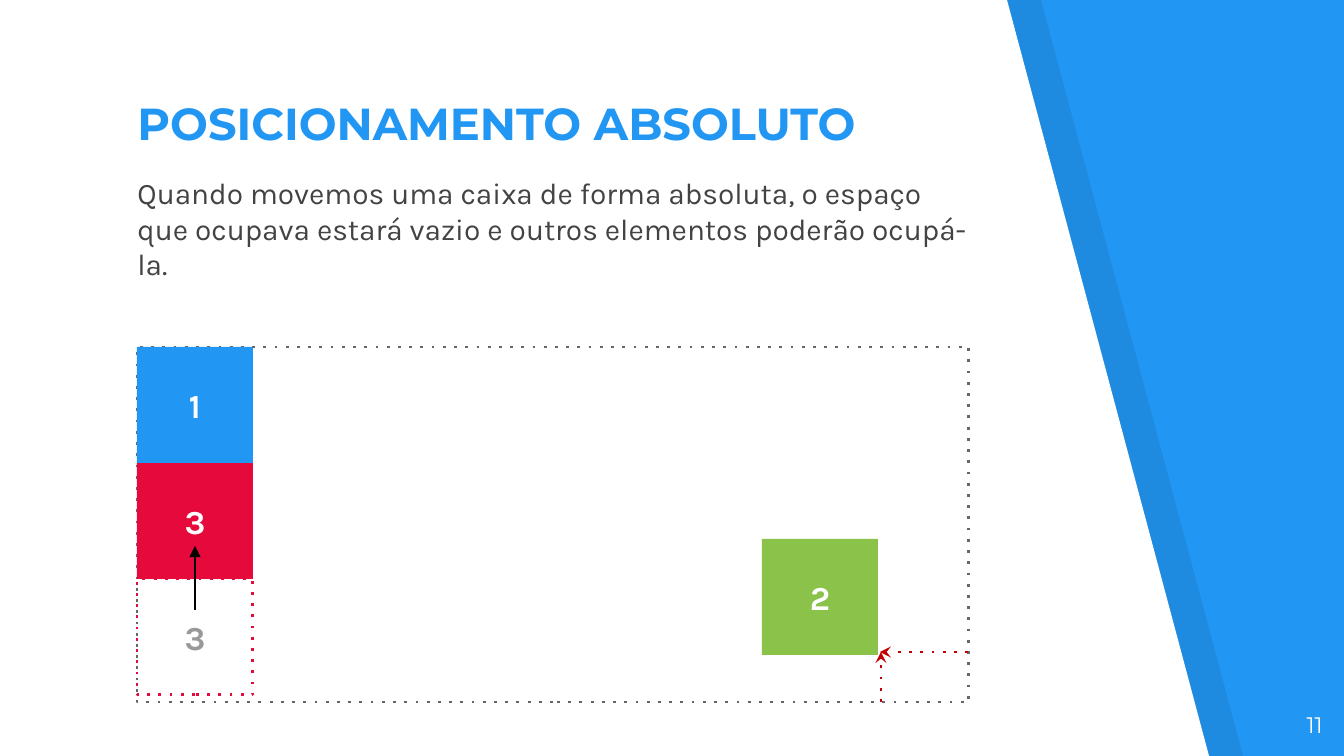
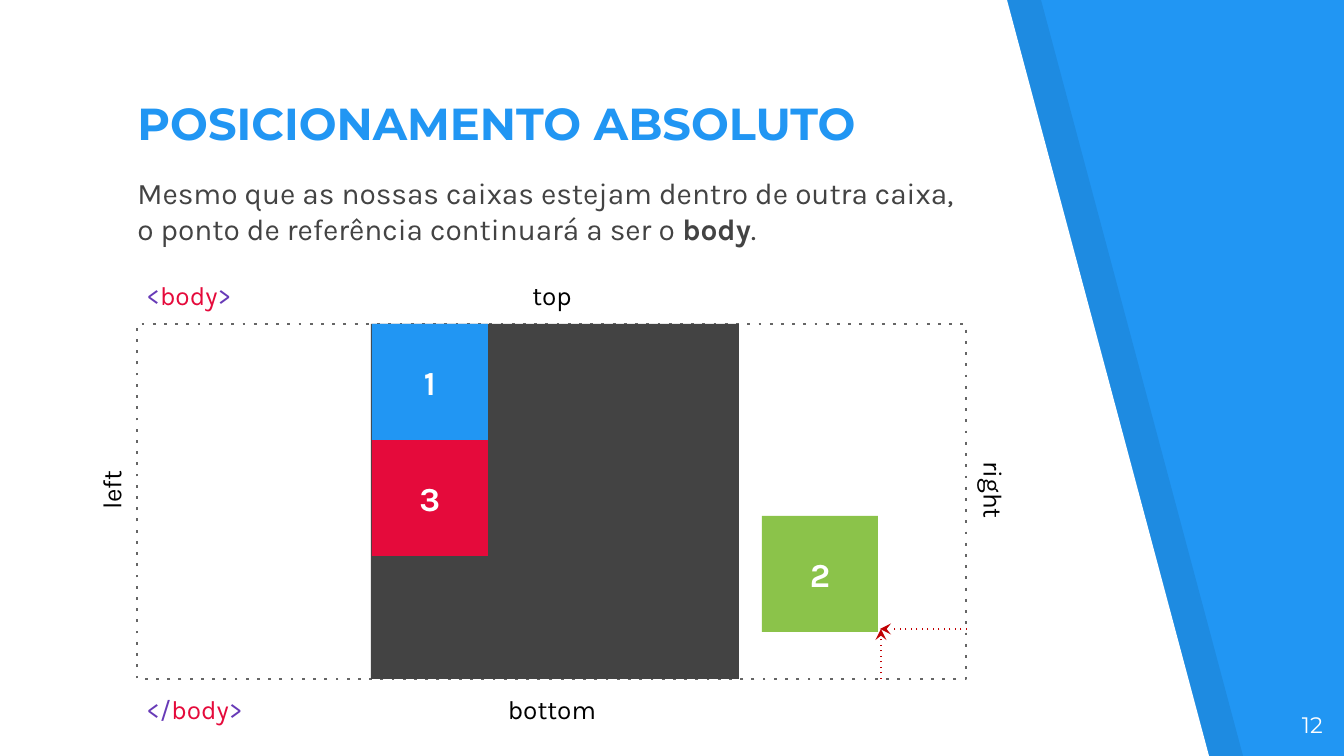
from lxml import etree
from pptx import Presentation
from pptx import util as u
from pptx.dml.color import RGBColor
from pptx.enum import dml, shapes, text
from pptx.oxml.ns import qn

PX = 914400 / 134.4
WIDTH, HEIGHT = 1344, 756

BLUE = RGBColor(0x21, 0x96, 0xF3)
GREEN = RGBColor(0x8B, 0xC3, 0x4A)
RED = RGBColor(0xE5, 0x0A, 0x3B)
DARK_RED = RGBColor(0xC1, 0x00, 0x03)
PURPLE = RGBColor(0x67, 0x3A, 0xB7)
CHARCOAL = RGBColor(0x43, 0x43, 0x43)
GREY = RGBColor(0x66, 0x66, 0x66)
LIGHT_GREY = RGBColor(0x99, 0x99, 0x99)
BLACK = RGBColor(0, 0, 0)
WHITE = RGBColor(0xFF, 0xFF, 0xFF)

TITLE_FONT, BODY_FONT = "Montserrat", "Karla"
TITLE = "POSICIONAMENTO ABSOLUTO"
SIDE = 116          # edge of a numbered box
FRAME_LEFT = 137
FRAME_HEIGHT = 355
LEFT, CENTER, RIGHT = text.PP_ALIGN.LEFT, text.PP_ALIGN.CENTER, text.PP_ALIGN.RIGHT
TOP, MIDDLE, BOTTOM = (text.MSO_ANCHOR.TOP, text.MSO_ANCHOR.MIDDLE,
                       text.MSO_ANCHOR.BOTTOM)


def emu(*lengths):
    return [u.Emu(round(length * PX)) for length in lengths]


# Text

def write(shape, pieces, size, font=BODY_FONT, align=LEFT, anchor=TOP):
    """Fill a shape with one paragraph of (text, colour, bold) pieces."""
    frame = shape.text_frame
    frame.word_wrap = True
    frame.auto_size = text.MSO_AUTO_SIZE.NONE
    frame.vertical_anchor = anchor
    frame.margin_left = frame.margin_right = u.Inches(0.1)
    frame.margin_top = frame.margin_bottom = u.Inches(0.1)
    para = frame.paragraphs[0]
    para.alignment = align
    for words, color, bold in pieces:
        span = para.add_run()
        span.text = words
        span.font.name = font
        span.font.size = u.Pt(size)
        span.font.bold = bold
        span.font.color.rgb = color
    return para


def place(shape, left, top, width, height):
    shape.left, shape.top, shape.width, shape.height = emu(left, top, width, height)


def add_label(page, left, top, width, pieces, align=CENTER, rotation=0):
    box = page.shapes.add_textbox(*emu(left, top, width, 50))
    box.rotation = rotation
    write(box, pieces, 14, align=align, anchor=MIDDLE)


def add_tag(page, top, opening):
    add_label(page, 133, top, 144, [(opening, PURPLE, False), ("body", RED, False),
                                    (">", PURPLE, False)], LEFT)


# Lines and boxes

def style_line(line, color, points, dotted):
    line.color.rgb = color
    line.width = u.Pt(points)
    if dotted:
        line.dash_style = dml.MSO_LINE.ROUND_DOT


def use_wide_dots(shape):
    shape.element.spPr.find(".//" + qn("a:prstDash")).set("val", "dot")


def add_rect(page, left, top, width, height, fill=None, outline=None):
    rect = page.shapes.add_shape(shapes.MSO_SHAPE.RECTANGLE,
                                 *emu(left, top, width, height))
    rect.shadow.inherit = False
    if fill is None:
        rect.fill.background()
    else:
        rect.fill.solid()
        rect.fill.fore_color.rgb = fill
    if outline is None:
        rect.line.fill.background()
    else:
        style_line(rect.line, outline, 1.5, True)
        use_wide_dots(rect)
    return rect


def add_number_box(page, left, top, number, fill=None, outline=None, color=WHITE):
    box = add_rect(page, left, top, SIDE, SIDE, fill, outline)
    write(box, [(number, color, True)], 18, align=CENTER, anchor=MIDDLE)


def add_arrow(page, start, end, color, points, head, dotted=False):
    arrow = page.shapes.add_connector(shapes.MSO_CONNECTOR.STRAIGHT,
                                      *emu(*start, *end))
    style_line(arrow.line, color, points, dotted)
    if dotted:
        use_wide_dots(arrow)
    properties = arrow.element.spPr
    etree.SubElement(properties.find(qn("a:ln")), qn("a:tailEnd"), type=head)
    etree.SubElement(properties, qn("a:effectLst"))


def add_moved_box(page, frame_top, frame_right, points):
    """Box 2 with the dotted offsets from the right and bottom edges."""
    add_number_box(page, 762, frame_top + 192, "2", GREEN)
    corner = frame_top + 305
    for start, end in (((frame_right, corner), (880, corner)),
                       ((881, frame_top + FRAME_HEIGHT), (881, corner))):
        add_arrow(page, start, end, DARK_RED, points, "stealth", True)


# Shared page parts

def add_wedge(page, offset, color, opacity=None):
    corners = [(offset, HEIGHT), (1209 + offset, HEIGHT), (1007 + offset, 0)]
    builder = page.shapes.build_freeform(offset, 0, scale=PX)
    builder.add_line_segments(corners, close=True)
    wedge = builder.convert_to_shape()
    wedge.shadow.inherit = False
    wedge.fill.solid()
    wedge.fill.fore_color.rgb = color
    wedge.line.fill.background()
    if opacity:
        tint = wedge.element.spPr.find(".//" + qn("a:srgbClr"))
        etree.SubElement(tint, qn("a:alpha"), val=str(opacity * 1000))
    return wedge


def move_wedges_to_layout(page, layout):
    wedges = [add_wedge(page, 34, BLACK, 7), add_wedge(page, 0, WHITE)]
    for index, wedge in enumerate(wedges, start=2):
        layout.shapes.element.insert(index, wedge.element)


def add_page(deck, layout, number, body_pieces):
    page = deck.slides.add_slide(layout)
    title, body = page.shapes.title, page.placeholders[1]
    place(title, 124, 103, 762, 60)
    write(title, [(TITLE, BLUE, True)], 24, TITLE_FONT, anchor=BOTTOM)

    place(body, 124, 161, 862, 150)
    para = write(body, body_pieces, 16)
    para.space_before = u.Pt(0)
    settings = para._p.get_or_add_pPr()
    settings.set("marL", "0")
    settings.set("indent", "0")
    etree.SubElement(settings, qn("a:buNone"))

    box = page.shapes.add_textbox(*emu(1255, 698, 81, 58))
    write(box, [(number, WHITE, False)], 12, TITLE_FONT, RIGHT)
    return page


# Slides

def build_empty_space(deck, layout):
    page = add_page(deck, layout, "11", [
        ("Quando movemos uma caixa de forma absoluta, o espaço que ocupava estará "
         "vazio e outros elementos poderão ocupá-la.", CHARCOAL, False)])
    top = 347
    add_rect(page, FRAME_LEFT, top, 832, FRAME_HEIGHT, outline=GREY)
    add_moved_box(page, top, 968, 1.5)
    add_number_box(page, FRAME_LEFT, top + SIDE, "3", RED)
    add_number_box(page, FRAME_LEFT, top, "1", BLUE)
    add_number_box(page, FRAME_LEFT, top + 2 * SIDE, "3", outline=RED,
                   color=LIGHT_GREY)
    add_arrow(page, (195, 610), (195, 546), BLACK, 1.5, "triangle")
    return page


def build_body_reference(deck, layout):
    page = add_page(deck, layout, "12", [
        ("Mesmo que as nossas caixas estejam dentro de outra caixa, o ponto de "
         "referência continuará a ser o ", CHARCOAL, False),
        ("body", CHARCOAL, True), (".", CHARCOAL, False)])
    top = 324
    add_rect(page, FRAME_LEFT, top, 829, FRAME_HEIGHT, outline=GREY)
    add_rect(page, 371, top, 368, FRAME_HEIGHT, CHARCOAL)
    add_moved_box(page, top, 967, 0.75)
    add_number_box(page, 372, top + SIDE, "3", RED)
    add_number_box(page, 372, top, "1", BLUE)

    # Edge names and body tags
    for name, left, label_top, width, rotation in (
            ("top", 480, 270, 144, 0), ("bottom", 480, 684, 144, 0),
            ("left", 42, 465, 138, 270), ("right", 925, 465, 138, 90)):
        add_label(page, left, label_top, width, [(name, BLACK, False)],
                  rotation=rotation)
    add_tag(page, 270, "<")
    add_tag(page, 684, "</")


def main():
    deck = Presentation()
    deck.slide_width, deck.slide_height = emu(WIDTH, HEIGHT)
    background = deck.slide_master.background.fill
    background.solid()
    background.fore_color.rgb = BLUE
    layout = deck.slide_layouts[1]
    first = build_empty_space(deck, layout)
    move_wedges_to_layout(first, layout)
    build_body_reference(deck, layout)
    deck.save("out.pptx")


if __name__ == "__main__":
    main()
